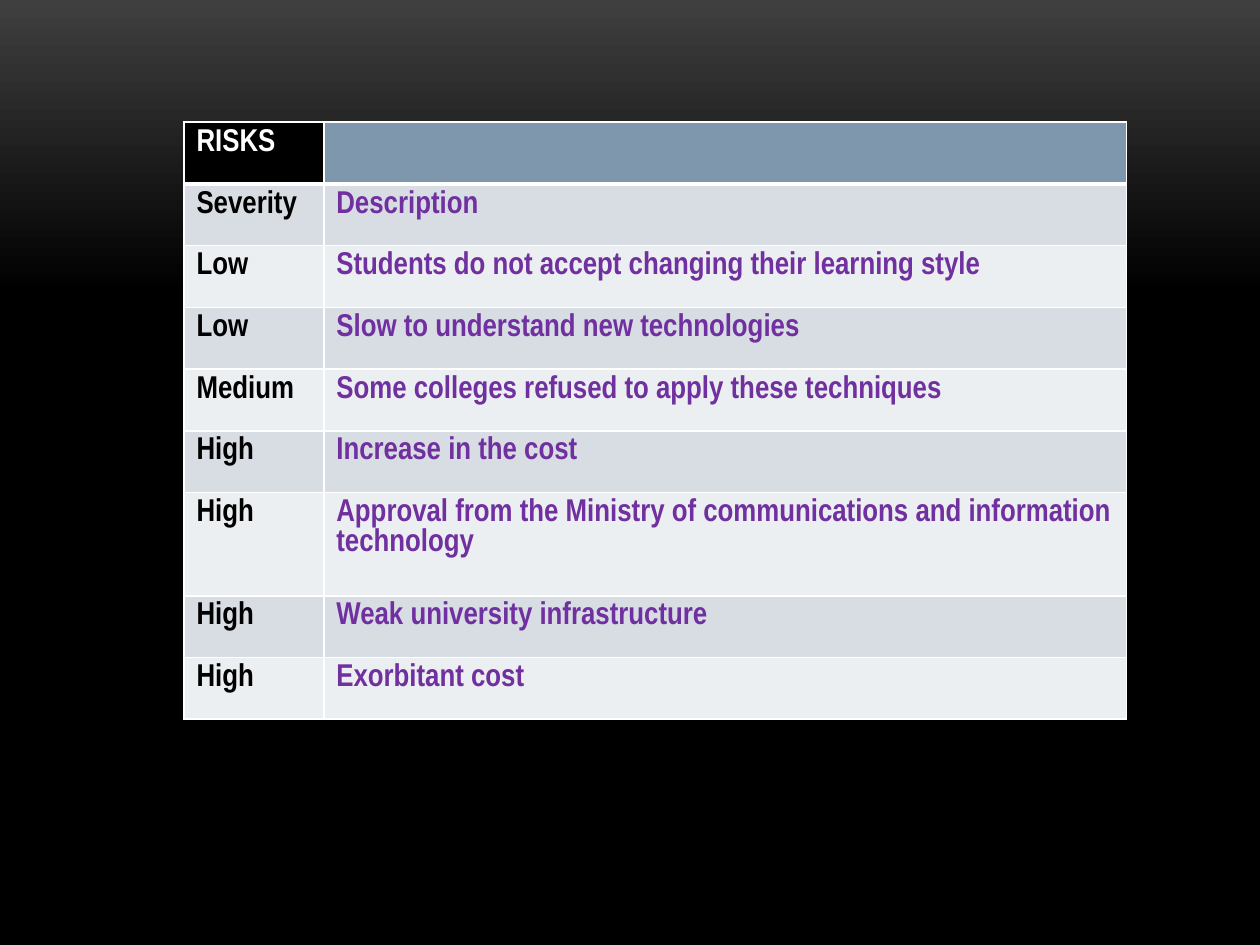
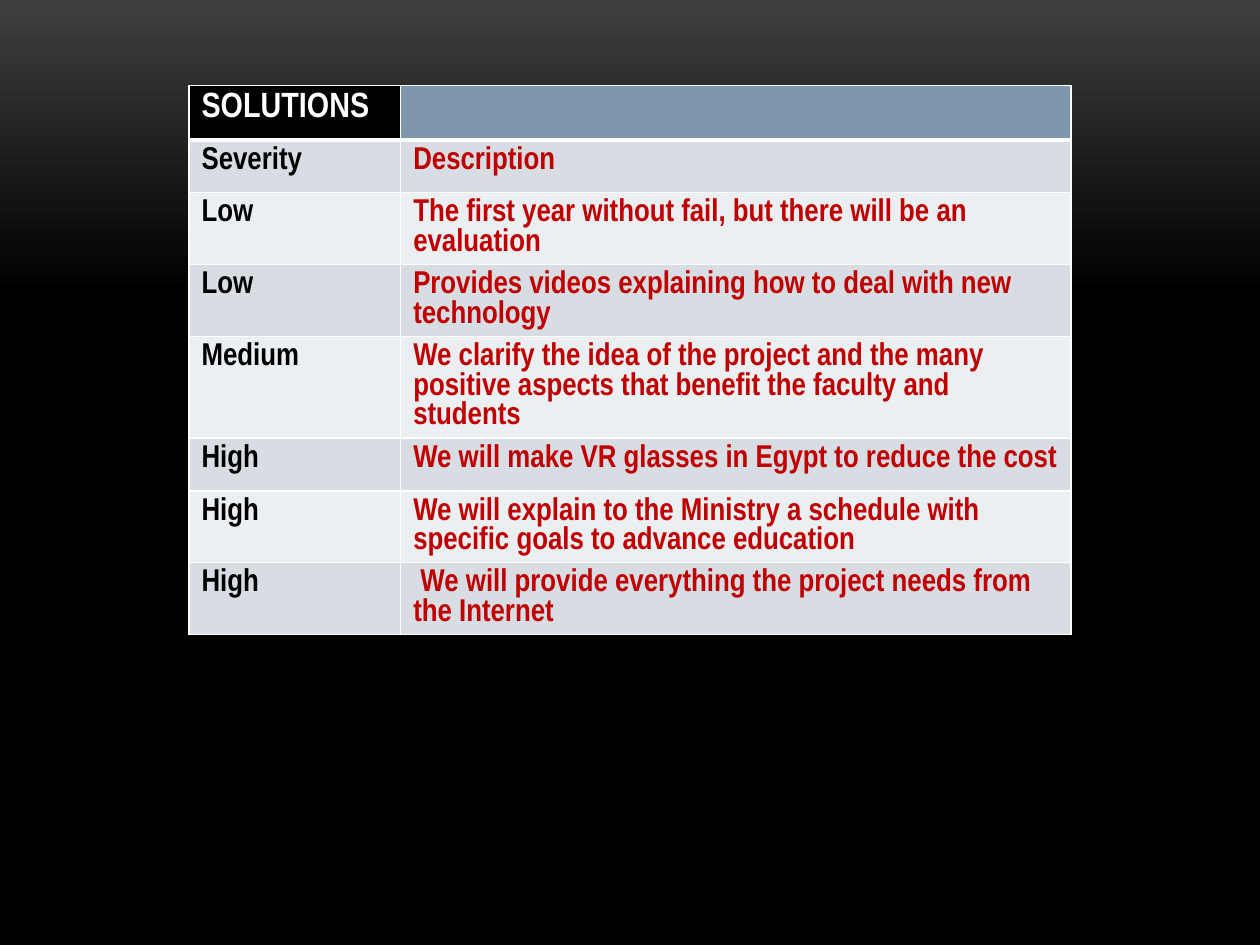
from lxml import etree
from pptx import Presentation
from pptx.dml.color import RGBColor
from pptx.oxml.ns import qn
from pptx.util import Inches, Pt

FONT = "Arial Narrow"
BLACK, WHITE, HEADER = "000000", "FFFFFF", "7E97AD"
BANDS = ("D8DDE3", "ECEFF1")
PURPLE, RED = "7030A0", "C00000"
THIN, THICK = 1, 3

RISKS = [
    ("Severity", "Description"),
    ("Low", "Students do not accept changing their learning style"),
    ("Low", "Slow to understand new technologies"),
    ("Medium", "Some colleges refused to apply these techniques"),
    ("High", "Increase in the cost"),
    ("High", "Approval from the Ministry of communications and information technology"),
    ("High", "Weak university infrastructure"),
    ("High", "Exorbitant cost"),
]
SOLUTIONS = [
    ("Severity", "Description"),
    ("Low", "The first year without fail, but there will be an evaluation"),
    ("Low", "Provides videos explaining how to deal with new technology"),
    ("Medium", "We clarify the idea of the project and the many positive aspects "
               "that benefit the faculty and students"),
    ("High", "We will make VR glasses in Egypt to reduce the cost"),
    ("High", "We will explain to the Ministry a schedule with specific goals "
             "to advance education"),
    ("High", " We will provide everything the project needs from the Internet"),
]


def rgb(value):
    return RGBColor.from_string(value)


def set_borders(cell, top, bottom):
    tc_pr = cell._tc.get_or_add_tcPr()
    widths = {"a:lnL": THIN, "a:lnR": THIN, "a:lnT": top, "a:lnB": bottom}
    for i, (tag, width) in enumerate(widths.items()):
        ln = etree.Element(qn(tag), w=str(Pt(width)))
        fill = etree.SubElement(ln, qn("a:solidFill"))
        etree.SubElement(fill, qn("a:srgbClr"), val=WHITE)
        tc_pr.insert(i, ln)


def fill_cell(cell, text, fill, color, size, top=THIN, bottom=THIN):
    cell.fill.solid()
    cell.fill.fore_color.rgb = rgb(fill)
    set_borders(cell, top, bottom)
    if text:
        r = cell.text_frame.paragraphs[0].add_run()
        r.text = text
        r.font.name = FONT
        r.font.size = Pt(size)
        r.font.bold = True
        r.font.color.rgb = rgb(color)


def add_severity_table(s, box, title, title_size, entries, color, cols, heights):
    frame = s.shapes.add_table(len(entries) + 1, 2, *map(Inches, box))
    table = frame.table
    for col, width in zip(table.columns, cols):
        col.width = Inches(width)
    for row, height in zip(table.rows, heights):
        row.height = Inches(height)
    frame.height = Inches(box[3])

    fill_cell(table.cell(0, 0), title, BLACK, WHITE, title_size, bottom=THICK)
    fill_cell(table.cell(0, 1), "", HEADER, WHITE, title_size, bottom=THICK)
    for i, entry in enumerate(entries):
        top = THIN if i else THICK
        for j, (text, ink) in enumerate(zip(entry, (BLACK, color))):
            fill_cell(table.cell(i + 1, j), text, BANDS[i % 2], ink, 18, top=top)


def add_dark_slide(prs):
    s = prs.slides.add_slide(prs.slide_layouts[6])
    fill = s.background.fill
    fill.gradient()
    fill.gradient_angle = 270
    for stop, (position, color) in zip(fill.gradient_stops, ((0, "3F3F3F"), (0.31, BLACK))):
        stop.position = position
        stop.color.rgb = rgb(color)
    return s


prs = Presentation()
prs.slide_width, prs.slide_height = Inches(10), Inches(7.5)

add_severity_table(add_dark_slide(prs), (1.46, 0.97, 7.48, 5.2), "RISKS", 18, RISKS,
                   PURPLE, (1.11, 6.37), [0.49] * 6 + [0.82] + [0.49] * 2)
add_severity_table(add_dark_slide(prs), (1.5, 0.68, 7, 4.17), "SOLUTIONS", 20, SOLUTIONS,
                   RED, (1.68, 5.32), [0.43] + [0.42] * 7)

prs.save("out.pptx")
